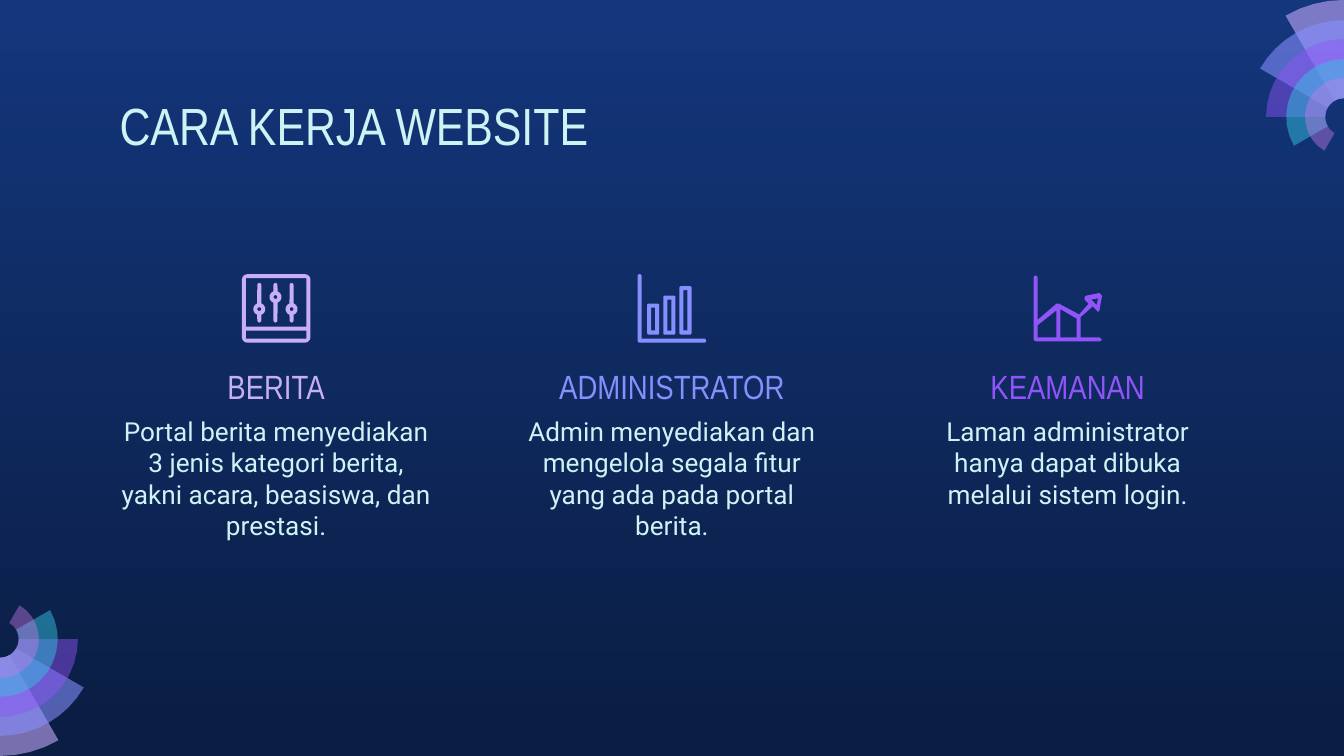
from dataclasses import dataclass
from math import acos, ceil, cos, degrees, radians, sin

from pptx import Presentation
from pptx.dml.color import RGBColor
from pptx.enum.text import MSO_ANCHOR, MSO_AUTO_SIZE, PP_ALIGN
from pptx.oxml.ns import qn
from pptx.util import Inches, Pt
from lxml.etree import SubElement

Point = tuple[float, float]
Ring = list[Point]
Part = list[Ring]  # an outline followed by its holes


@dataclass(frozen=True)
class Theme:
    top: str = "13367C"
    base: str = "0A1D42"
    ink: str = "CEF3F5"
    lilac: str = "C8AEF8"
    blue: str = "878FFF"
    violet: str = "9154F8"
    head: str = "Arial Narrow"
    body: str = "Roboto"
    title_size: int = 28
    head_size: int = 18
    body_size: int = 14


@dataclass(frozen=True)
class Blade:
    radius: float
    color: str
    alpha: int


@dataclass(frozen=True)
class Card:
    name: str
    note: str
    color: str
    icon: list[Part]
    height: float = 1.14


THEME = Theme()
WIDTH, HEIGHT = 10, 10 * 9 / 16
MARGIN, CARD_W = 0.79, 2.53
STEP = (WIDTH - 2 * MARGIN - CARD_W) / 2
ICON_W, ICON_TOP = 0.51, 2.04
HUB = 0.87  # distance of a fan's centre from the slide edge
BORE = 0.14  # inner radius of a fan
SAG = 0.002  # largest gap between an arc and its chords

BLADES = [
    Blade(0.87, "C8ACFD", 58),
    Blade(0.72, THEME.blue, 58),
    Blade(0.58, THEME.violet, 46),
    Blade(0.43, "35C2DF", 49),
    Blade(0.29, "CA7BEB", 42),
]


def arc(x: float, y: float, r: float, start: float, end: float) -> Ring:
    """Points along an arc; angles in degrees, clockwise from the right."""
    count = ceil(abs(end - start) / degrees(2 * acos(1 - SAG / r)))
    turns = [radians(start + (end - start) * i / count) for i in range(count + 1)]
    return [(x + r * cos(t), y + r * sin(t)) for t in turns]


def box(left: float, top: float, right: float, low: float, r: float = 0) -> Ring:
    if not r:
        return [(left, top), (right, top), (right, low), (left, low)]
    return (arc(left + r, top + r, r, 180, 270) + arc(right - r, top + r, r, 270, 360)
            + arc(right - r, low - r, r, 0, 90) + arc(left + r, low - r, r, 90, 180))


def slider(x: float, y: float) -> Part:
    """A vertical stem with a ring-shaped knob at height y."""
    rim = (arc(x, 0.08, 0.015, 180, 360) + arc(x, y, 0.045, -70, 70)
           + arc(x, 0.345, 0.015, 0, 180) + arc(x, y, 0.045, 110, 250))
    return [rim, arc(x, y, 0.015, 360, 0)]


def bar(left: float, top: float) -> Part:
    return [box(left, top, left + 0.09, 0.45, 0.01),
            box(left + 0.03, top + 0.03, left + 0.06, 0.42)]


MIXER = [
    [box(0, 0, 0.51, 0.51, 0.04), box(0.03, 0.03, 0.48, 0.39), box(0.03, 0.42, 0.48, 0.48)],
    *[slider(x, y) for x, y in [(0.13, 0.26), (0.25, 0.17), (0.37, 0.26)]],
]
AXIS = [[(0, 0.01), (0.01, 0), (0.02, 0), (0.03, 0.01), (0.03, 0.48), (0.5, 0.48),
         (0.51, 0.49), (0.51, 0.5), (0.5, 0.51), (0.01, 0.51), (0, 0.5)]]
BARS = [*[bar(x, y) for x, y in [(0.07, 0.22), (0.19, 0.16), (0.31, 0.09)]], AXIS]
TREND = [[
    [(0, 0.02), (0.01, 0.01), (0.02, 0.01), (0.03, 0.02), (0.03, 0.34), (0.17, 0.22),
     (0.19, 0.22), (0.34, 0.3), (0.41, 0.22), (0.38, 0.19), (0.38, 0.17), (0.39, 0.16),
     (0.49, 0.14), (0.51, 0.16), (0.49, 0.27), (0.48, 0.28), (0.47, 0.27), (0.44, 0.24),
     (0.35, 0.32), (0.35, 0.47), (0.49, 0.47), (0.51, 0.49), (0.49, 0.5), (0.02, 0.5),
     (0, 0.49)],
    [(0.48, 0.18), (0.43, 0.19), (0.47, 0.23)],
    [(0.17, 0.27), (0.17, 0.47), (0.03, 0.47), (0.03, 0.38)],
    [(0.2, 0.26), (0.32, 0.33), (0.32, 0.47), (0.2, 0.47)],
]]

CARDS = [
    Card("BERITA", "Portal berita menyediakan 3 jenis kategori berita, "
         "yakni acara, beasiswa, dan prestasi.", THEME.lilac, MIXER),
    Card("ADMINISTRATOR", "Admin menyediakan dan mengelola segala fitur "
         "yang ada pada portal berita.", THEME.blue, BARS),
    Card("KEAMANAN", "Laman administrator hanya dapat dibuka "
         "melalui sistem login.", THEME.violet, TREND, 0.87),
]


def draw(shapes, part: Part, color: str, left: float = 0, top: float = 0, alpha: int = 100) -> None:
    rings = [[(Inches(left + x), Inches(top + y)) for x, y in ring] for ring in part]
    pen = shapes.build_freeform(*rings[0][0])
    for i, ring in enumerate(rings):
        if i:
            pen.move_to(*ring[0])
        pen.add_line_segments(ring[1:], close=True)
    shape = pen.convert_to_shape()
    shape.shadow.inherit = False
    shape.line.fill.background()
    shape.fill.solid()
    shape.fill.fore_color.rgb = RGBColor.from_string(color)
    if alpha < 100:
        tint = shape._element.spPr.find(qn("a:solidFill")).find(qn("a:srgbClr"))
        SubElement(tint, qn("a:alpha")).set("val", str(alpha * 1000))


def fan(slide, x: float, y: float, start: float) -> None:
    """Blades share one first edge; each spans 30 degrees more than the last."""
    group = slide.shapes.add_group_shape()
    for i, blade in enumerate(BLADES, 1):
        end = start - 30 * i
        ring = arc(x, y, blade.radius, start, end) + arc(x, y, BORE, end, start)
        draw(group.shapes, [ring], blade.color, alpha=blade.alpha)


def place(shape, left: float, top: float, width: float, height: float) -> None:
    shape.left, shape.top = Inches(left), Inches(top)
    shape.width, shape.height = Inches(width), Inches(height)


def write(shape, text: str, font: str, size: int, color: str, align, anchor) -> None:
    frame = shape.text_frame
    frame.word_wrap = True
    frame.auto_size = MSO_AUTO_SIZE.NONE
    frame.vertical_anchor = anchor
    frame.margin_left = frame.margin_right = Inches(0.1)
    frame.margin_top = frame.margin_bottom = Inches(0.1)
    para = frame.paragraphs[0]
    para.alignment = align
    run = para.add_run()
    run.text = text
    run.font.name, run.font.size = font, Pt(size)
    run.font.color.rgb = RGBColor.from_string(color)


def show(slide, card: Card, left: float) -> None:
    head = slide.shapes.add_textbox(0, 0, 0, 0)
    place(head, left, 2.66, CARD_W, 0.43)
    write(head, card.name, THEME.head, THEME.head_size, card.color,
          PP_ALIGN.CENTER, MSO_ANCHOR.MIDDLE)
    note = slide.shapes.add_textbox(0, 0, 0, 0)
    place(note, left, 2.99, CARD_W, card.height)
    write(note, card.note, THEME.body, THEME.body_size, THEME.ink,
          PP_ALIGN.CENTER, MSO_ANCHOR.TOP)
    single = len(card.icon) == 1
    shapes = slide.shapes if single else slide.shapes.add_group_shape().shapes
    for part in card.icon:
        draw(shapes, part, card.color, left + (CARD_W - ICON_W) / 2, ICON_TOP)


def main() -> None:
    deck = Presentation()
    deck.slide_width, deck.slide_height = Inches(WIDTH), Inches(HEIGHT)
    slide = deck.slides.add_slide(deck.slide_layouts[5])
    fill = slide.background.fill
    fill.gradient()
    fill.gradient_angle = 270
    for stop, color in zip(fill.gradient_stops, (THEME.top, THEME.base)):
        stop.color.rgb = RGBColor.from_string(color)
    fan(slide, 0, HEIGHT - HUB, 90)
    fan(slide, WIDTH, HUB, 270)
    title = slide.shapes.title
    place(title, MARGIN, 0.59, WIDTH - 2 * MARGIN, 0.63)
    write(title, "CARA KERJA WEBSITE", THEME.head, THEME.title_size, THEME.ink,
          PP_ALIGN.LEFT, MSO_ANCHOR.TOP)
    for i, card in enumerate(CARDS):
        show(slide, card, MARGIN + i * STEP)
    deck.save("out.pptx")


if __name__ == "__main__":
    main()
